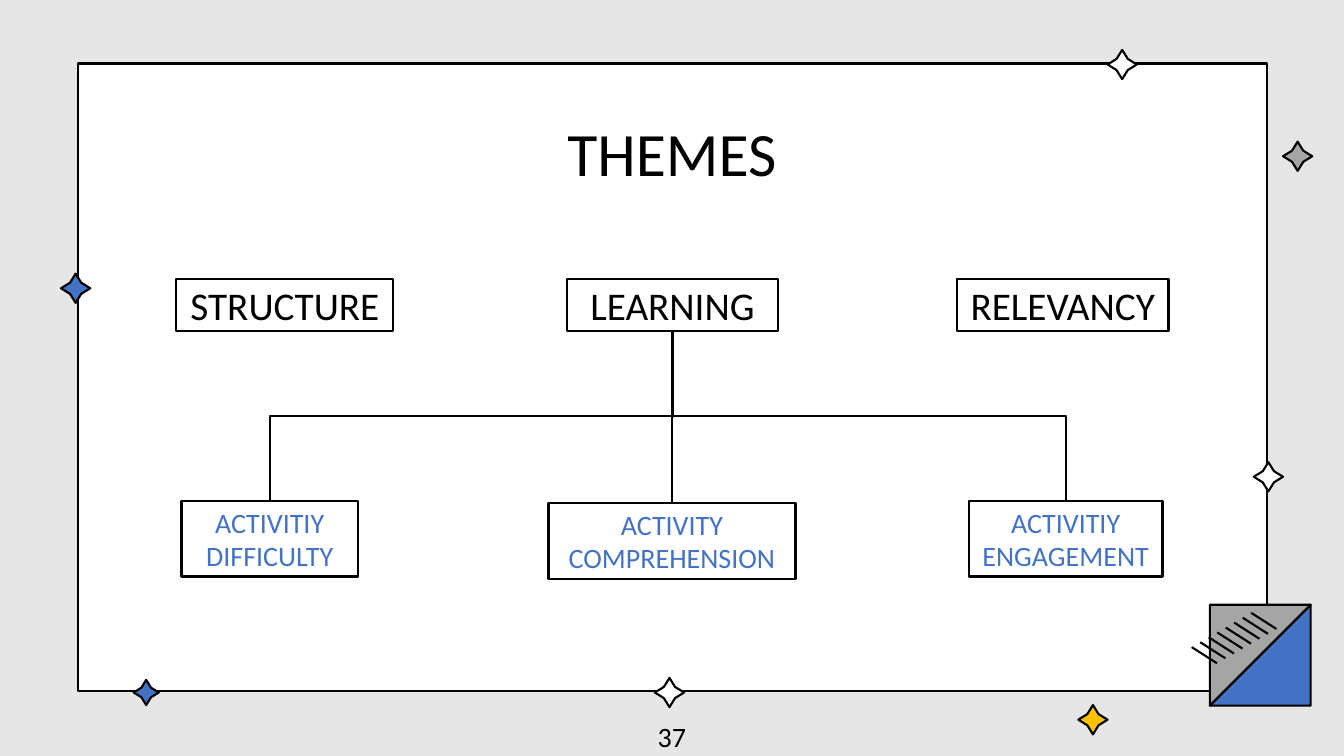
from lxml import etree
from pptx import Presentation
from pptx.dml.color import RGBColor
from pptx.enum.shapes import MSO_CONNECTOR, MSO_SHAPE
from pptx.enum.text import MSO_ANCHOR, MSO_AUTO_SIZE, PP_ALIGN
from pptx.oxml.ns import qn
from pptx.util import Inches, Pt

RECTANGLE, STAR = MSO_SHAPE.RECTANGLE, MSO_SHAPE.STAR_4_POINT
STRAIGHT, ELBOW = MSO_CONNECTOR.STRAIGHT, MSO_CONNECTOR.ELBOW
MIDDLE, CENTER, NO_FIT = MSO_ANCHOR.MIDDLE, PP_ALIGN.CENTER, MSO_AUTO_SIZE.NONE

BLACK = RGBColor(0x00, 0x00, 0x00)
WHITE = RGBColor(0xFF, 0xFF, 0xFF)
BACKDROP = RGBColor(0xE7, 0xE6, 0xE6)
BLUE = RGBColor(0x44, 0x72, 0xC4)
GOLD = RGBColor(0xFF, 0xC0, 0x00)
GREY = RGBColor(0xA5, 0xA5, 0xA5)

WIDTH, HEIGHT = 13.33, 7.5
MID_X = WIDTH / 2
STROKE = Pt(1.5)


def outline(shape, fill=None):
    """Give a shape a black rounded outline, no shadow and an optional fill."""
    shape.line.color.rgb = BLACK
    shape.line.width = STROKE
    etree.SubElement(shape.line._get_or_add_ln(), qn("a:round"))
    if hasattr(shape, "fill"):
        shape.shadow.inherit = False
        if fill is None:
            shape.fill.background()
        else:
            shape.fill.solid()
            shape.fill.fore_color.rgb = fill
    else:
        etree.SubElement(shape._element.spPr, qn("a:effectLst"))


def write(shape, text, size, color=BLACK, side=0.13, wrap=True):
    frame = shape.text_frame
    frame.text = text
    layout = {
        "word_wrap": wrap, "auto_size": NO_FIT, "vertical_anchor": MIDDLE,
        "margin_left": Inches(side), "margin_right": Inches(side),
        "margin_top": Inches(0.13), "margin_bottom": Inches(0.13),
    }
    for key, value in layout.items():
        setattr(frame, key, value)
    paragraph = frame.paragraphs[0]
    paragraph.alignment = CENTER
    paragraph.line_spacing = 1.0
    font = paragraph.runs[0].font
    for key, value in {"name": "Calibri", "size": Pt(size), "bold": False}.items():
        setattr(font, key, value)
    font.color.rgb = color


prs = Presentation()
prs.slide_width, prs.slide_height = Inches(WIDTH), Inches(HEIGHT)
slide = prs.slides.add_slide(prs.slide_layouts[5])
slide.background.fill.solid()
slide.background.fill.fore_color.rgb = BACKDROP
shapes = slide.shapes

# White panel with stars around its edge
panel = shapes.add_shape(
    RECTANGLE, Inches(0.77), Inches(0.63), Inches(11.8), Inches(6.23))
outline(panel, WHITE)

STAR_SIZE = 0.29
stars = [
    (1.45, 6.87, 0.25, BLUE), (0.75, 2.86, STAR_SIZE, BLUE),
    (10.84, 7.14, STAR_SIZE, GOLD), (12.58, 4.73, STAR_SIZE, WHITE),
    (6.64, 6.87, STAR_SIZE, WHITE), (12.87, 1.55, STAR_SIZE, GREY),
    (11.13, 0.64, STAR_SIZE, WHITE),
]
for x, y, size, color in stars:
    star = shapes.add_shape(
        STAR, Inches(x - size / 2), Inches(y - size / 2), Inches(size), Inches(size))
    star.adjustments[0] = 0.27
    outline(star, color)

# Corner prism: blue face, grey side and its stripes
prism_faces = [
    ([(11.98, 6.63), (12.73, 6.2), (12.65, 7.06)], BLUE),
    ([(11.73, 6.47), (12.49, 6.04), (12.73, 6.2), (11.98, 6.63)], GREY),
]
for corners, color in prism_faces:
    builder = shapes.build_freeform(*corners[0], scale=Inches(1))
    builder.add_line_segments(corners[1:], close=True)
    outline(builder.convert_to_shape(), color)

for i in range(8):
    x, y = 12.41 - i * 0.59 / 7, 6.08 + i * 0.34 / 7
    outline(shapes.add_connector(
        STRAIGHT, Inches(x), Inches(y), Inches(x + 0.25), Inches(y + 0.16)))

# Title, brought in front of the panel
title = shapes.title
title.left, title.top = Inches(MID_X - 2.5), Inches(1.25)
title.width, title.height = Inches(5), Inches(0.51)
title.fill.solid()
title.fill.fore_color.rgb = WHITE
write(title, "THEMES", 44)
shapes._spTree.append(title._element)

# Themes
THEME_TOP, THEME_HEIGHT = 2.77, 0.51
themes = [("STRUCTURE", 1.75, 2.15), ("LEARNING", 5.62, 2.1), ("RELEVANCY", 9.49, 2.1)]
for text, left, width in themes:
    theme = shapes.add_shape(
        RECTANGLE, Inches(left), Inches(THEME_TOP), Inches(width), Inches(THEME_HEIGHT))
    outline(theme)
    write(theme, text, 28, wrap=False)

# Sub-themes, each joined to the middle theme
trunk_x, trunk_y = 6.67, THEME_TOP + THEME_HEIGHT
subthemes = [
    ("ACTIVITIY DIFFICULTY", 1.8, 4.97, 1.75),
    ("ACTIVITY COMPREHENSION", 5.44, 4.99, 2.45),
    ("ACTIVITIY ENGAGEMENT", 9.61, 4.97, 1.92),
]
for text, left, top, width in subthemes:
    subtheme = shapes.add_shape(
        RECTANGLE, Inches(left), Inches(top), Inches(width), Inches(0.75))
    outline(subtheme)
    write(subtheme, text, 20, BLUE, side=0)

    # A quarter turn makes the elbow leave its parent vertically
    branch_x = left + width / 2
    center_x, center_y = (trunk_x + branch_x) / 2, (trunk_y + top) / 2
    half_drop, half_span = (top - trunk_y) / 2, (branch_x - trunk_x) / 2
    branch = shapes.add_connector(
        ELBOW,
        Inches(center_x - half_drop), Inches(center_y + half_span),
        Inches(center_x + half_drop), Inches(center_y - half_span))
    branch._element.spPr.find(qn("a:xfrm")).set("rot", "5400000")
    outline(branch)

page_number = shapes.add_textbox(
    Inches(MID_X - 1.5), Inches(7.1), Inches(3), Inches(0.4))
write(page_number, "37", 20)

prs.save("out.pptx")
